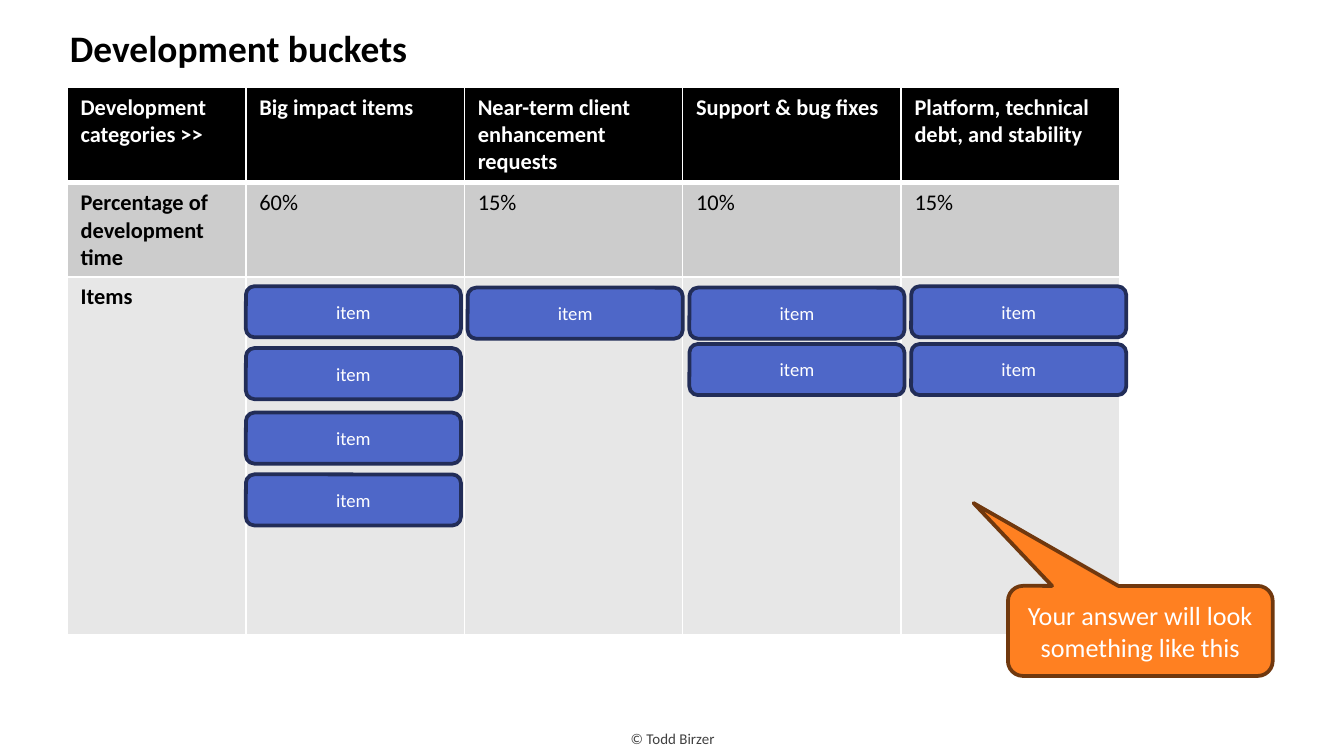
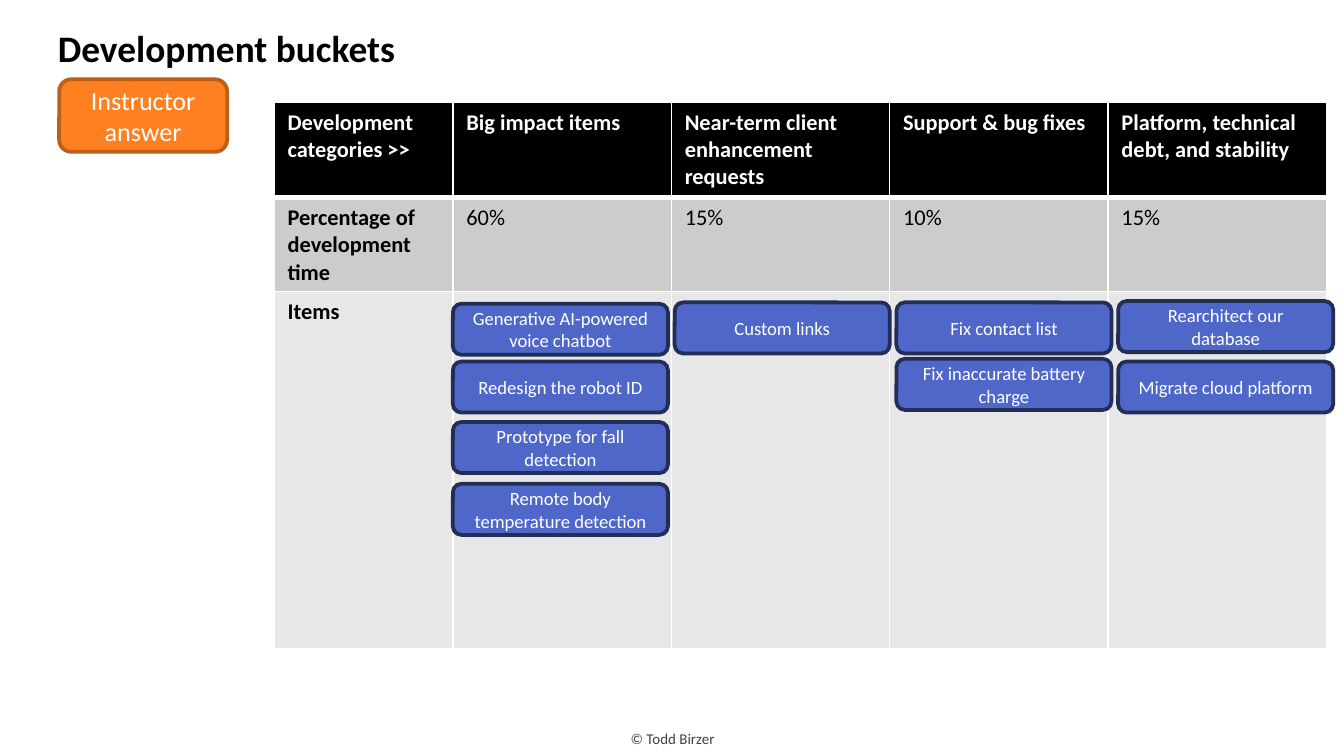
from lxml import etree
from pptx import Presentation
from pptx import util as u
from pptx.dml.color import RGBColor
from pptx.enum import shapes, text
from pptx.oxml.ns import qn

FONT = "Calibri"
BLACK, WHITE, GREY = "000000", "FFFFFF", "404040"
ITEM_FILL, ITEM_LINE = "4E67C8", "222D58"
ORANGE, BROWN, RUST = "FF8021", "70380E", "BD5F18"
ROW_FILLS = [BLACK, "CCCCCC", "E7E7E7"]
ROW_HEIGHTS = [0.71, 0.7, 2.66]
TABLE_W, LABEL_W = 7.83, 1.33
ITEM_W, ITEM_H, ITEM_STEP = 1.6, 0.38, 1.65
BUCKETS = [
    ["Development categories >>", "Big impact items",
     "Near-term client enhancement requests", "Support & bug fixes",
     "Platform, technical debt, and stability"],
    ["Percentage of development time", "60%", "15%", "10%", "15%"],
    ["Items", "", "", "", ""],
]


def color(value):
    return RGBColor.from_string(value)


def write(tf, content, size=10, fill=WHITE, bold=False,
          align=text.PP_ALIGN.CENTER, anchor=text.MSO_ANCHOR.MIDDLE, wrap=True):
    tf.word_wrap = wrap
    tf.vertical_anchor = anchor
    p = tf.paragraphs[0]
    p.alignment = align
    r = p.add_run()
    r.text = content
    r.font.name = FONT
    r.font.size = u.Pt(size)
    r.font.bold = bold
    r.font.color.rgb = color(fill)


def add_box(s, box, content, fill, line, size,
            kind=shapes.MSO_SHAPE.ROUNDED_RECTANGLE):
    sp = s.shapes.add_shape(kind, *map(u.Inches, box))
    sp.shadow.inherit = False
    sp.fill.solid()
    sp.fill.fore_color.rgb = color(fill)
    sp.line.color.rgb = color(line)
    sp.line.width = u.Pt(2)
    write(sp.text_frame, content, size)
    return sp


def add_title(s, box):
    sp = s.shapes.title
    sp.left, sp.top, sp.width, sp.height = map(u.Inches, box)
    write(sp.text_frame, "Development buckets", 20, BLACK, True,
          text.PP_ALIGN.LEFT, text.MSO_ANCHOR.BOTTOM)
    sp.text_frame.auto_size = text.MSO_AUTO_SIZE.NONE


def add_footer(s):
    sp = s.shapes.add_textbox(*map(u.Inches, (4.57, 5.38, 0.87, 0.24)))
    write(sp.text_frame, "© Todd Birzer", 8, GREY,
          anchor=text.MSO_ANCHOR.TOP, wrap=False)
    sp.text_frame.auto_size = text.MSO_AUTO_SIZE.SHAPE_TO_FIT_TEXT


def set_borders(cell, row):
    tc_pr = cell._tc.get_or_add_tcPr()
    widths = {"L": 1, "R": 1, "T": 3 if row == 1 else 1, "B": 3 if row == 0 else 1}
    for side, width in widths.items():
        ln = etree.SubElement(tc_pr, qn(f"a:ln{side}"), w=str(u.Pt(width)))
        fill = etree.SubElement(ln, qn("a:solidFill"))
        etree.SubElement(fill, qn("a:srgbClr"), val=WHITE)


def add_bucket_table(s, left, top):
    frame = s.shapes.add_table(len(BUCKETS), len(BUCKETS[0]), u.Inches(left), u.Inches(top),
                               u.Inches(TABLE_W), u.Inches(sum(ROW_HEIGHTS)))
    table = frame.table
    table.horz_banding = False
    bucket_w = (TABLE_W - LABEL_W) / (len(BUCKETS[0]) - 1)
    for i, column in enumerate(table.columns):
        column.width = u.Inches(bucket_w if i else LABEL_W)
    for i, row in enumerate(BUCKETS):
        table.rows[i].height = u.Inches(ROW_HEIGHTS[i])
        for j, content in enumerate(row):
            cell = table.cell(i, j)
            set_borders(cell, i)
            cell.fill.solid()
            cell.fill.fore_color.rgb = color(ROW_FILLS[i])
            if content:
                write(cell.text_frame, content, 12, BLACK if i else WHITE,
                      i == 0 or j == 0, text.PP_ALIGN.LEFT, text.MSO_ANCHOR.TOP)


def add_items(s, left, top, columns):
    for i, column in enumerate(columns):
        for content, offset in column:
            box = (left + LABEL_W + i * ITEM_STEP, top + offset, ITEM_W, ITEM_H)
            add_box(s, box, content, ITEM_FILL, ITEM_LINE, 10)


def bucket_slide(prs, title_box, left, top, columns):
    s = prs.slides.add_slide(prs.slide_layouts[5])
    add_footer(s)
    add_title(s, title_box)
    add_bucket_table(s, left, top)
    add_items(s, left, top, columns)
    return s


def example_slide(prs):
    offsets = [[1.48, 1.94, 2.42, 2.88], [1.49], [1.49, 1.91], [1.48, 1.91]]
    columns = [[("item", offset) for offset in column] for column in offsets]
    s = bucket_slide(prs, (0.42, -0.1, 3.29, 0.67), 0.5, 0.65, columns)
    callout = add_box(s, (7.5, 4.36, 1.97, 0.67), "Your answer will look something like this",
                      ORANGE, BROWN, 14, shapes.MSO_SHAPE.ROUNDED_RECTANGULAR_CALLOUT)
    callout.adjustments[0] = -0.63
    callout.adjustments[1] = -1.42


def answer_slide(prs):
    columns = [
        [("Generative AI-powered voice chatbot", 1.5), ("Redesign the robot ID", 1.93),
         ("Prototype for fall detection", 2.38), ("Remote body temperature detection", 2.84)],
        [("Custom links", 1.49)],
        [("Fix contact list", 1.49), ("Fix inaccurate battery charge", 1.91)],
        [("Rearchitect our database", 1.48), ("Migrate cloud platform", 1.93)],
    ]
    s = bucket_slide(prs, (0.33, -0.1, 3.37, 0.67), 2.04, 0.76, columns)
    add_box(s, (0.44, 0.59, 1.25, 0.54), "Instructor answer", ORANGE, RUST, 14)


def main():
    prs = Presentation()
    prs.slide_width = u.Inches(10)
    prs.slide_height = u.Inches(10 * 9 / 16)
    example_slide(prs)
    answer_slide(prs)
    prs.save("out.pptx")


if __name__ == "__main__":
    main()
